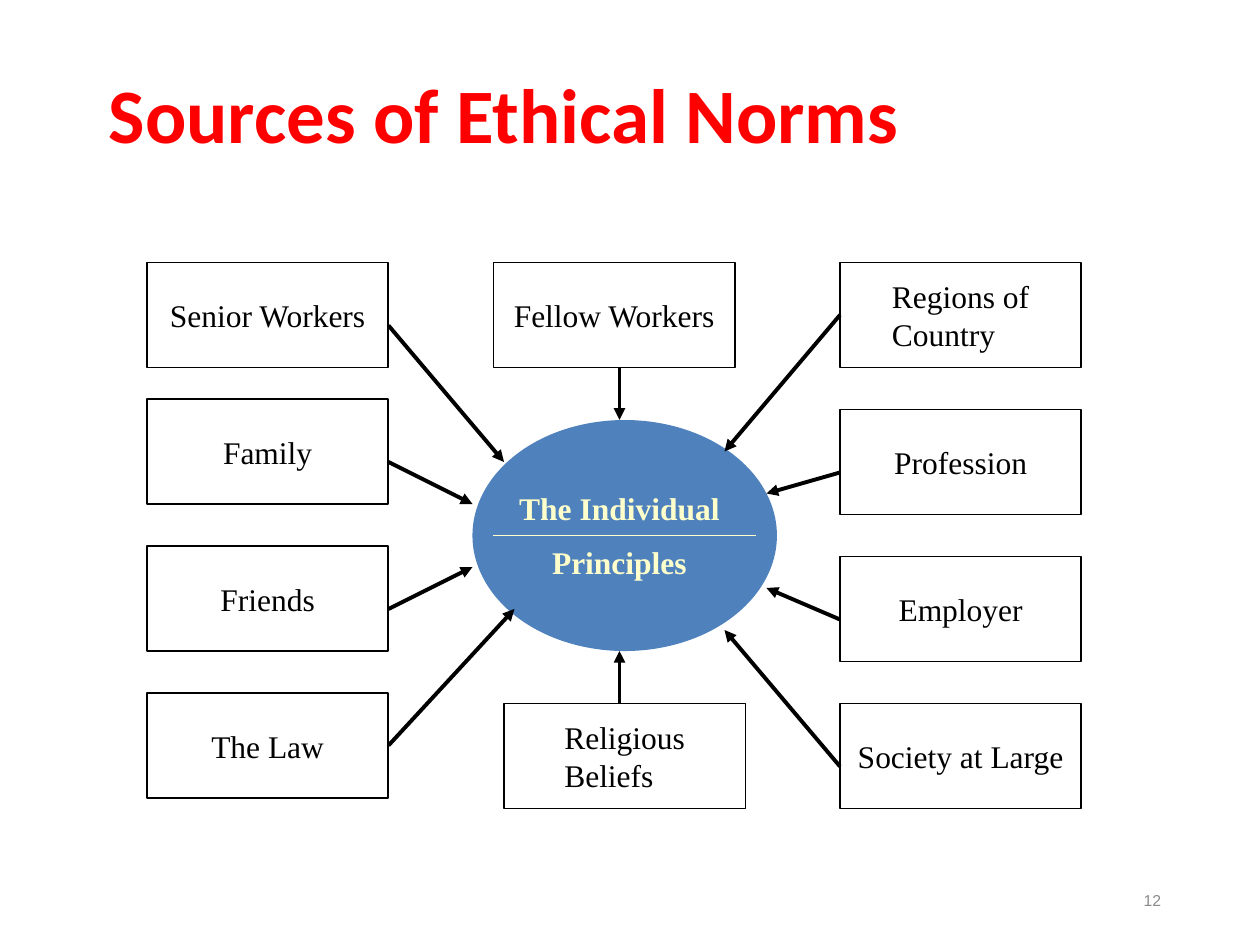
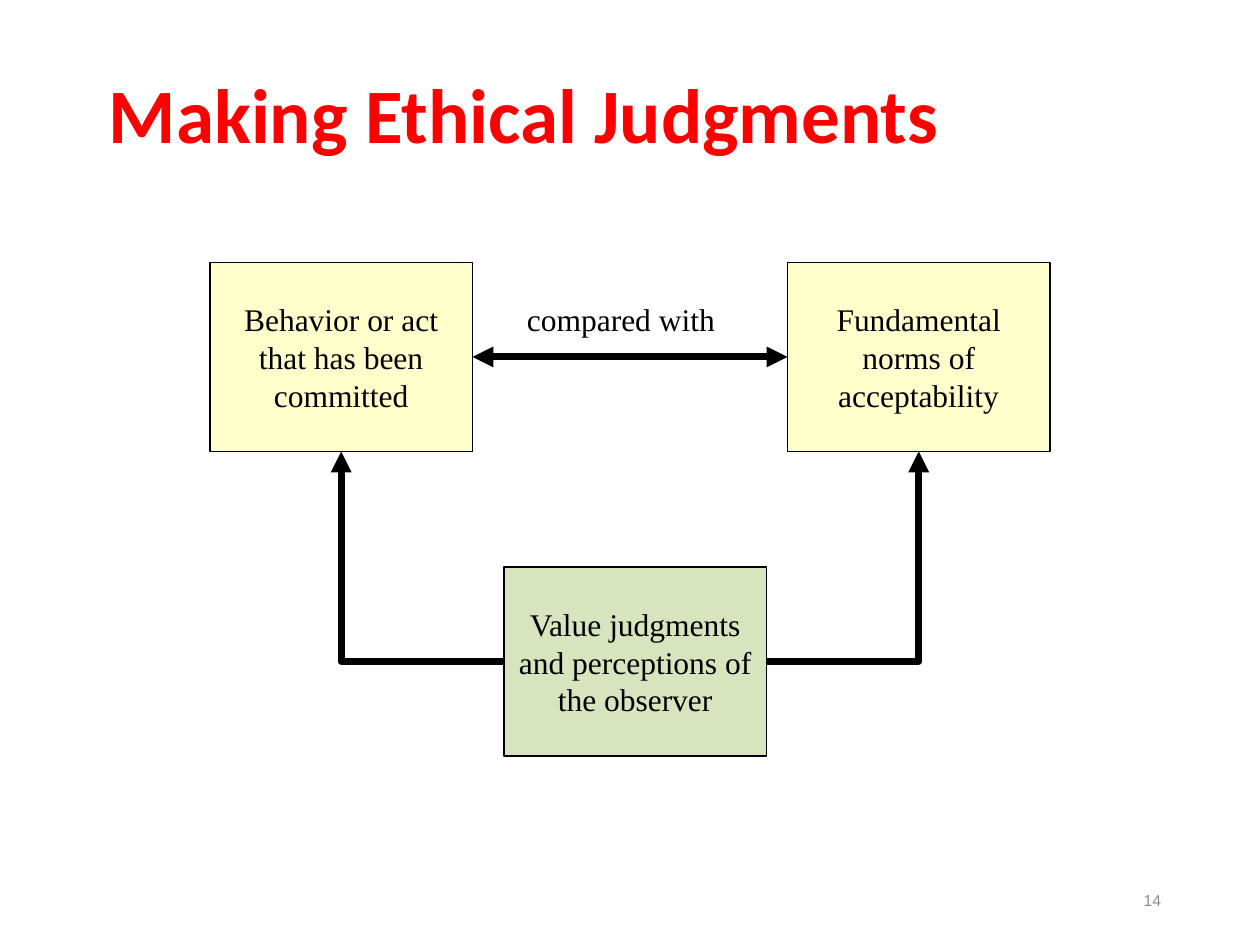
from lxml.etree import SubElement
from pptx import Presentation
from pptx.dml.color import RGBColor
from pptx.enum.shapes import MSO_CONNECTOR, MSO_SHAPE
from pptx.enum.text import MSO_ANCHOR, MSO_AUTO_SIZE, PP_ALIGN
from pptx.oxml.ns import qn
from pptx.util import Pt

PIXEL = 9525
RED = RGBColor(0xFF, 0x00, 0x00)
BLACK = RGBColor(0x00, 0x00, 0x00)
GRAY = RGBColor(0x8C, 0x8C, 0x8C)
BLUE = RGBColor(0x4F, 0x81, 0xBD)
CREAM = RGBColor(0xFF, 0xFF, 0xCC)
GREEN = RGBColor(0xD7, 0xE4, 0xBD)

TITLE_FORMAT = {"name": "Calibri", "size": Pt(44), "bold": True, "color": RED}
NUMBER_FORMAT = {"name": "Arial", "size": Pt(9), "color": GRAY}
LABEL_FORMAT = {"name": "Times New Roman", "size": Pt(18), "color": BLACK}
CENTER_FORMAT = {**LABEL_FORMAT, "bold": True, "color": CREAM}

TITLE_AREA = (83, 59, 795, 59)
NUMBER_AREA = (678, 667, 216, 38)
SOURCE_SIZE = (184, 80)
STEP_SIZE = (200, 144)
SOURCES = [
    ("Senior Workers", 112, 200), ("Family", 112, 304),
    ("Friends", 112, 416), ("The Law", 112, 528),
    ("Regions of Country", 640, 200), ("Profession", 640, 312),
    ("Employer", 640, 424), ("Society at Large", 640, 536),
    ("Fellow Workers", 376, 200), ("Religious Beliefs", 384, 536),
]
INFLUENCES = [
    ((296, 248), (384, 352)), ((296, 352), (360, 384)),
    ((296, 464), (360, 432)), ((296, 568), (392, 464)),
    ((472, 536), (472, 496)), ((472, 280), (472, 320)),
    ((640, 240), (552, 344)), ((640, 360), (584, 376)),
    ((640, 472), (584, 448)), ((640, 584), (552, 480)),
]


def px(*lengths):
    """Turn pixel lengths into EMU."""
    return [length * PIXEL for length in lengths]


def set_text(shape, paragraphs, text_format, align=PP_ALIGN.LEFT, anchor=MSO_ANCHOR.MIDDLE):
    """Fill a shape with evenly formatted paragraphs."""
    frame = shape.text_frame
    frame.word_wrap = True
    frame.vertical_anchor = anchor
    frame.text = "\n".join(paragraphs)
    for index, paragraph in enumerate(frame.paragraphs):
        paragraph.alignment = align
        paragraph.space_before = Pt(9 if index else 0)
        for name, value in text_format.items():
            if name == "color":
                paragraph.font.color.rgb = value
            else:
                setattr(paragraph.font, name, value)
    return frame


def add_text(slide, area, text, text_format, align=PP_ALIGN.LEFT, anchor=MSO_ANCHOR.MIDDLE):
    """Add a text box."""
    set_text(slide.shapes.add_textbox(*px(*area)), [text], text_format, align, anchor)


def add_titled_slide(presentation, title, number):
    """Add a slide with its title and slide number."""
    slide = presentation.slides.add_slide(presentation.slide_layouts[5])
    shape = slide.shapes.title
    for name, value in zip(("left", "top", "width", "height"), px(*TITLE_AREA)):
        setattr(shape, name, value)
    frame = set_text(shape, [title], TITLE_FORMAT, anchor=MSO_ANCHOR.TOP)
    frame.auto_size = MSO_AUTO_SIZE.NONE
    for side in ("left", "top", "right", "bottom"):
        setattr(frame, f"margin_{side}", 0)
    frame.paragraphs[0].line_spacing = 0.9
    add_text(slide, NUMBER_AREA, number, NUMBER_FORMAT, PP_ALIGN.RIGHT)
    return slide


def add_block(slide, area, fill=None, outline=None, kind=MSO_SHAPE.RECTANGLE):
    """Add a flat shape with optional fill and outline."""
    shape = slide.shapes.add_shape(kind, *px(*area))
    shape.shadow.inherit = False
    for part, color in ((shape.fill, fill), (shape.line.fill, outline)):
        if color is None:
            part.background()
        else:
            part.solid()
            part.fore_color.rgb = color
    if outline is not None:
        shape.line.width = Pt(1)
    return shape


def add_source(slide, text, left, top):
    """Add an outlined box whose text block is centred as a whole."""
    shape = add_block(slide, (left, top, *SOURCE_SIZE), outline=BLACK)
    frame = set_text(shape, [text], LABEL_FORMAT)
    frame._txBody.bodyPr.set("anchorCtr", "1")
    return shape


def add_step(slide, text, left, top, fill):
    """Add a filled box with centred text."""
    shape = add_block(slide, (left, top, *STEP_SIZE), fill, BLACK)
    set_text(shape, [text], LABEL_FORMAT, PP_ALIGN.CENTER)
    return shape


def find_side(boxes, point):
    """Return the box and side whose middle is at the point."""
    for box in boxes:
        middle_x, middle_y = box.left + box.width // 2, box.top + box.height // 2
        sides = [(middle_x, box.top), (box.left, middle_y),
                 (middle_x, box.top + box.height), (box.left + box.width, middle_y)]
        if tuple(px(*point)) in sides:
            return box, sides.index(tuple(px(*point)))
    return None


def add_line(slide, start, end, color, width, boxes=(), heads=(), bent=False):
    """Add a line with arrowheads, joined to the boxes it meets."""
    kind = MSO_CONNECTOR.ELBOW if bent else MSO_CONNECTOR.STRAIGHT
    connector = slide.shapes.add_connector(kind, *px(*start, *end))
    connector.line.color.rgb = color
    connector.line.width = Pt(width)
    properties = connector._element.spPr
    if bent:
        properties.find(qn("a:prstGeom")).set("prst", "bentConnector2")
    for head in heads:
        SubElement(properties.find(qn("a:ln")), qn(f"a:{head}")).set("type", "triangle")
    SubElement(properties, qn("a:effectLst"))
    for point, join in ((start, connector.begin_connect), (end, connector.end_connect)):
        side = find_side(boxes, point)
        if side:
            join(*side)


def build_sources(presentation):
    """Build the slide on where ethical norms come from."""
    slide = add_titled_slide(presentation, "Sources of Ethical Norms", "12")
    boxes = [add_source(slide, *source) for source in SOURCES]
    add_block(slide, (360, 320, 232, 176), BLUE, kind=MSO_SHAPE.OVAL)
    individual = add_block(slide, (376, 368, 192, 82), BLUE)
    set_text(individual, ["The Individual", "Principles"], CENTER_FORMAT,
             PP_ALIGN.CENTER, MSO_ANCHOR.TOP)
    add_line(slide, (376, 408), (576, 408), CREAM, 1)
    for start, end in INFLUENCES:
        add_line(slide, start, end, BLACK, 2.25, boxes, ["tailEnd"])


def build_judgments(presentation):
    """Build the slide on how ethical judgments are made."""
    slide = add_titled_slide(presentation, "Making Ethical Judgments", "14")
    boxes = [
        add_step(slide, "Behavior or act that has been committed", 160, 200, CREAM),
        add_step(slide, "Fundamental norms of acceptability", 600, 200, CREAM),
        add_step(slide, "Value judgments and perceptions of the observer", 384, 432, GREEN),
    ]
    for start, end in (((384, 504), (260, 344)), ((584, 504), (700, 344))):
        add_line(slide, start, end, BLACK, 4, boxes, ["tailEnd"], bent=True)
    add_text(slide, (392, 224, 176, 38), "compared with", LABEL_FORMAT, anchor=MSO_ANCHOR.TOP)
    add_line(slide, (360, 272), (600, 272), BLACK, 4, boxes, ["headEnd", "tailEnd"])


def main():
    """Build and save the presentation."""
    presentation = Presentation()
    presentation.slide_width, presentation.slide_height = px(960, 720)
    build_sources(presentation)
    build_judgments(presentation)
    presentation.save("out.pptx")


if __name__ == "__main__":
    main()
